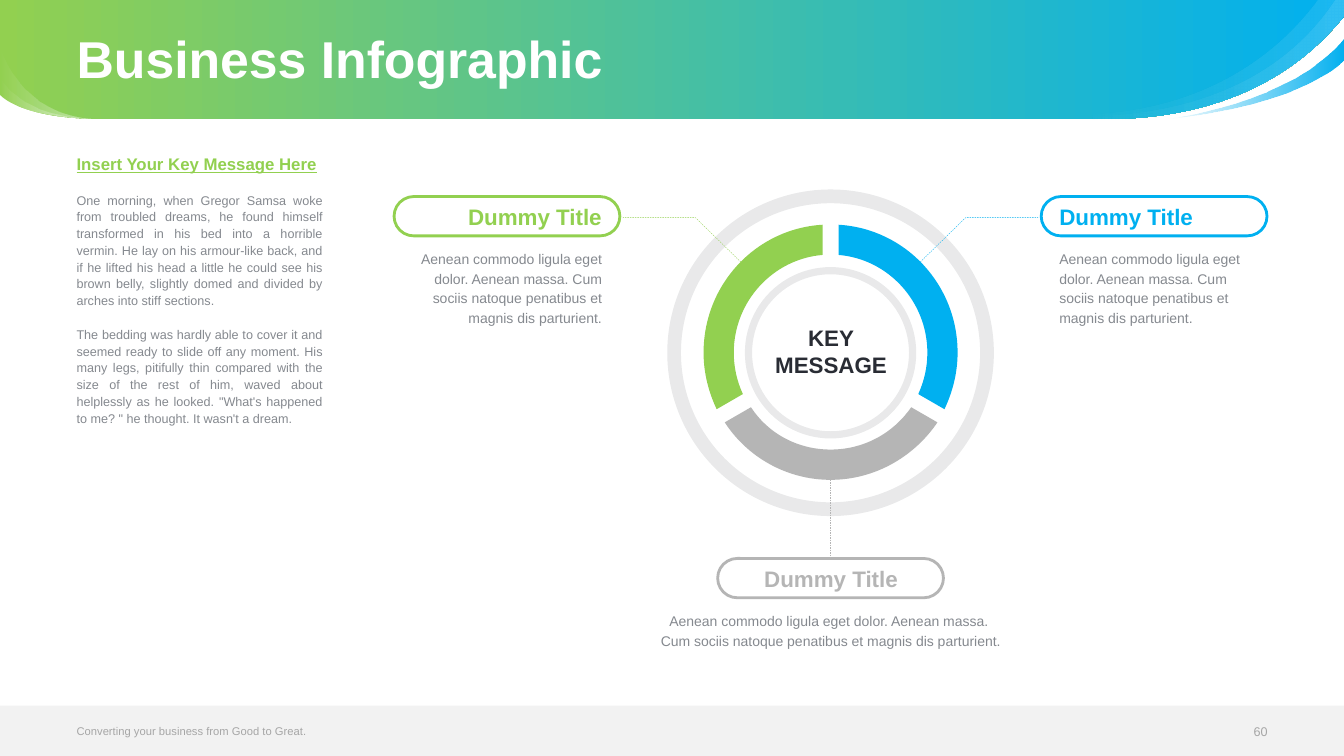
from lxml import etree
from pptx import Presentation
from pptx.dml.color import RGBColor
from pptx.enum.dml import MSO_LINE
from pptx.enum.shapes import MSO_CONNECTOR, MSO_SHAPE
from pptx.enum.text import MSO_ANCHOR, PP_ALIGN
from pptx.oxml.ns import qn
from pptx.util import Inches, Pt

DONUT, PILL, RECTANGLE = MSO_SHAPE.DONUT, MSO_SHAPE.ROUNDED_RECTANGLE, MSO_SHAPE.RECTANGLE
STRAIGHT, DASH = MSO_CONNECTOR.STRAIGHT, MSO_LINE.DASH
LEFT, CENTER, RIGHT, JUSTIFY = PP_ALIGN.LEFT, PP_ALIGN.CENTER, PP_ALIGN.RIGHT, PP_ALIGN.JUSTIFY
TOP, MIDDLE = MSO_ANCHOR.TOP, MSO_ANCHOR.MIDDLE
COLORS = {"green": "92D050", "blue": "00B0F0", "silver": "B5B5B5", "white": "FFFFFF",
          "dark": "292C34", "text": "85898F", "footer": "A6A6A6", "strip": "F2F2F2"}
FONT = "Arial"
CELL = Inches(0.01)
COLUMNS, ROWS = 1333.33, 750
MARGIN = 76
CENTER_X, CENTER_Y = 824, 350

deck = Presentation()
deck.slide_width, deck.slide_height = int(COLUMNS * CELL), ROWS * CELL
page = deck.slides.add_slide(deck.slide_layouts[6])
shapes = page.shapes


def outline(start, strokes, close=True):
    builder = shapes.build_freeform(start[0] * CELL, start[1] * CELL)
    points = [(x * CELL, y * CELL) for stroke in strokes for x, y in stroke]
    builder.add_line_segments(points, close=close)
    shape = builder.convert_to_shape()
    shape.shadow.inherit = False
    path = next(shape._element.spPr.iter(qn("a:path")))
    segments = iter(path.findall(qn("a:lnTo")))
    for stroke in strokes:
        parts = [next(segments) for _ in stroke]
        if len(parts) == 3:
            curve = etree.Element(qn("a:cubicBezTo"))
            parts[0].addprevious(curve)
            for part in parts:
                curve.append(part[0])
                path.remove(part)
    return shape


def write(left, top, width, height, lines, size, color, align=LEFT, bold=False,
          spacing=None, anchor=TOP):
    box = shapes.add_textbox(int(left * CELL), top * CELL, width * CELL, height * CELL)
    frame = box.text_frame
    frame.word_wrap = True
    frame.vertical_anchor = anchor
    frame.margin_left = frame.margin_top = frame.margin_right = frame.margin_bottom = 0
    for index, line in enumerate(lines):
        para = frame.paragraphs[0] if index == 0 else frame.add_paragraph()
        para.text = line
        para.alignment = align
        para.line_spacing = spacing
        para.font.name, para.font.size, para.font.bold = FONT, Pt(size), bold
        para.font.color.rgb = RGBColor.from_string(COLORS[color])
    return frame.paragraphs


shine = [(15, "white", 0), (100, "white", 10)]
glow = [(0, "white", 0), (100, "white", 50)]
banner_parts = [
    ((COLUMNS, 0), [[(COLUMNS, 16)], [(1266, 100), (1170, 117), (1105, 118)], [(97, 118)],
                    [(18, 117), (0, 94), (0, 94)], [(0, 0)]],
     [(0, "green", 100), (100, "blue", 100)]),
    ((COLUMNS, 0), [[(COLUMNS, 16)], [(1224, 153), (1039, 113), (1034, 112)],
                    [(1040, 112), (1232, 139), (1324, 0)]], shine),
    ((1157, 118), [[(1157, 118), (1282, 103), (COLUMNS, 37)], [(COLUMNS, 59)],
                   [(COLUMNS, 59), (1294, 104), (1157, 118)]],
     [(0, "blue", 0), (100, "blue", 100)]),
    ((COLUMNS, 0), [[(COLUMNS, 16)], [(1223, 155), (1034, 112), (1034, 112)],
                    [(1189, 122), (1270, 50), (1307, 0)]], shine),
    ((97, 118), [[(18, 117), (0, 94), (0, 94)], [(0, 76)],
                 [(0, 76), (18, 117), (97, 118)]], glow),
    ((97, 118), [[(18, 117), (0, 94), (0, 94)], [(0, 45)],
                 [(0, 45), (18, 116), (97, 118)]], glow),
]
painted = [(outline(start, strokes), stops) for start, strokes, stops in banner_parts]

footer = shapes.add_shape(RECTANGLE, 0, 700 * CELL, deck.slide_width, 50 * CELL)
painted.append((footer, [(0, "strip", 100)]))

write(MARGIN, 5, 1181, 113, ["Business Infographic"], 37, "white", bold=True,
      spacing=0.9, anchor=MIDDLE)
story = write(MARGIN, 156, 244, 519, [
    "Insert Your Key Message Here",
    "One morning, when Gregor Samsa woke from troubled dreams, he found himself transformed "
    "in his bed into a horrible vermin. He lay on his armour-like back, and if he lifted his "
    "head a little he could see his brown belly, slightly domed and divided by arches into "
    "stiff sections.",
    "The bedding was hardly able to cover it and seemed ready to slide off any moment. His "
    "many legs, pitifully thin compared with the size of the rest of him, waved about "
    "helplessly as he looked. \"What's happened to me? \" he thought. It wasn't a dream.",
], 9, "text", JUSTIFY, spacing=Pt(12))
for para in story[1:]:
    para.space_before = Pt(12)
heading = story[0].font
heading.size, heading.bold, heading.underline = Pt(12), True, True
heading.color.rgb = RGBColor.from_string(COLORS["green"])
write(MARGIN, 712, 523, 26, ["Converting your business from Good to Great."], 8, "footer",
      anchor=MIDDLE)
write(1194.5, 713, 63, 26, ["60"], 9, "footer", RIGHT, anchor=MIDDLE)

for diameter in (170, 324):
    radius = diameter // 2
    ring = shapes.add_shape(DONUT, (CENTER_X - radius) * CELL, (CENTER_Y - radius) * CELL,
                            diameter * CELL, diameter * CELL)
    ring.adjustments[0] = 0.042
    painted.append((ring, [(0, "dark", 10)]))

leaders = []
for color, side in (("green", -1), ("blue", 1)):
    knee, end = [(CENTER_X + side * reach, 216) for reach in (134, 206)]
    leader = outline((CENTER_X + side * 89, 260), [[knee], [end]], close=False)
    leader.fill.background()
    leaders.append((leader, color))

bottom = outline((824, 446), [[(791, 446), (762, 430), (745, 404)], [(719, 419)],
                              [(741, 453), (780, 476), (824, 476)],
                              [(868, 476), (907, 453), (930, 419)], [(904, 404)],
                              [(886, 430), (857, 446), (824, 446)]])
painted.append((bottom, [(0, "silver", 100)]))
side_arc = [[(96, 350)], [(96, 299), (57, 257), (8, 253)], [(8, 223)],
            [(74, 227), (126, 282), (126, 350)], [(126, 370), (121, 389), (113, 406)],
            [(87, 391)], [(93, 378), (96, 364), (96, 350)]]
for color, side in (("green", -1), ("blue", 1)):
    (start,), *strokes = [[(CENTER_X + side * reach, y) for reach, y in stroke]
                          for stroke in side_arc]
    painted.append((outline(start, strokes), [(0, color, 100)]))

for shape, stops in painted:
    shape.shadow.inherit = False
    shape.line.fill.background()
    if len(stops) == 1:
        shape.fill.solid()
        targets = [shape.fill.fore_color]
    else:
        shape.fill.gradient()
        shape.fill.gradient_angle = 0
        targets = []
        for stop, (position, _, _) in zip(shape.fill.gradient_stops, stops):
            stop.position = position / 100
            targets.append(stop.color)
    for target, (_, color, _) in zip(targets, stops):
        target.rgb = RGBColor.from_string(COLORS[color])
    fill_colors = list(shape._element.spPr.iter(qn("a:srgbClr")))
    for fill_color, (_, _, opacity) in zip(fill_colors, stops):
        if opacity < 100:
            etree.SubElement(fill_color, qn("a:alpha")).set("val", str(opacity * 1000))

pills = {}
for color, left, top in (("silver", 712, 554), ("green", 391, 195), ("blue", 1033, 195)):
    pill = shapes.add_shape(PILL, left * CELL, top * CELL, 224 * CELL, 39 * CELL)
    pill.shadow.inherit = False
    pill.adjustments[0] = 0.5
    pill.fill.background()
    pill.line.color.rgb = RGBColor.from_string(COLORS[color])
    pill.line.width = Pt(2)
    pills[color] = pill

stem = shapes.add_connector(STRAIGHT, CENTER_X * CELL, 476 * CELL, CENTER_X * CELL, 554 * CELL)
stem.end_connect(pills["silver"], 0)
etree.SubElement(stem._element.spPr, qn("a:effectLst"))
leaders.append((stem, "silver"))
for leader, color in leaders:
    leader.line.color.rgb = RGBColor.from_string(COLORS[color])
    leader.line.width = Pt(0.25)
    leader.line.dash_style = DASH

summary = ["Aenean commodo ligula eget dolor. Aenean massa. ",
           "Cum sociis natoque penatibus et magnis dis parturient."]
write(647, 605, 354, 39, summary, 10, "text", CENTER, spacing=Pt(14))
write(726, 561, 197, 27, ["Dummy Title"], 16, "silver", CENTER, True)
for color, side, align in (("green", -1, RIGHT), ("blue", 1, LEFT)):
    edge = CENTER_X + side * 227
    for top, width, height, lines, size, shade, bold, spacing in (
            (246, 193, 79, ["".join(summary)], 10, "text", False, Pt(14)),
            (202, 185, 27, ["Dummy Title"], 16, color, True, None)):
        write(edge if side > 0 else edge - width, top, width, height, lines, size, shade,
              align, bold, spacing)
write(732, 322, 185, 54, ["KEY", "MESSAGE"], 16, "dark", CENTER, True)

deck.save("out.pptx")
